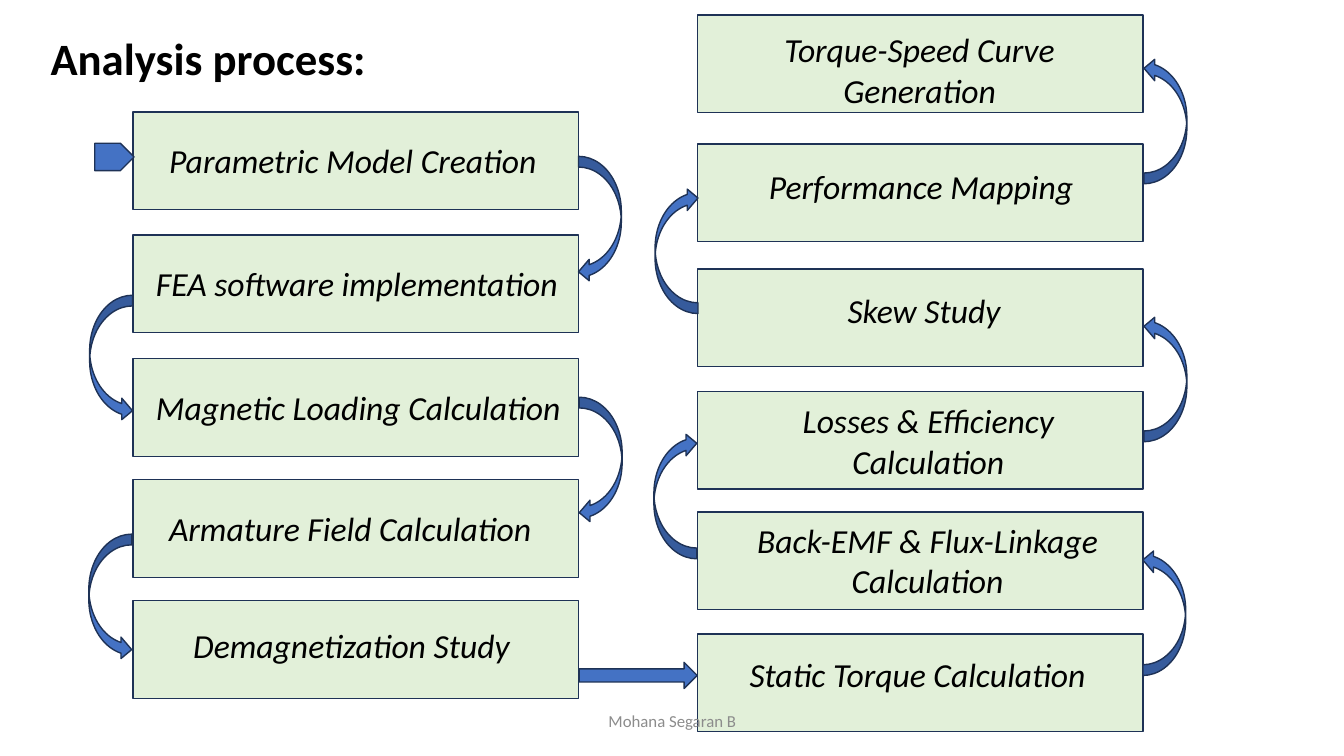
"""Build the slide that shows the analysis process as two chains of steps."""
from dataclasses import dataclass

import pptx
import pptx.dml.color
import pptx.enum.shapes
import pptx.enum.text
import pptx.util

Cm = pptx.util.Cm
Kind = pptx.enum.shapes.MSO_SHAPE
Align = pptx.enum.text.PP_ALIGN
Anchor = pptx.enum.text.MSO_ANCHOR

FONT = "Calibri"
BLACK, GREY = "000000", "8C8C8C"
GREEN, BLUE, NAVY = "E2F0D9", "4472C4", "1E3256"
BOX_W, BOX_H = 11.23, 2.46
LEFT, RIGHT = 3.35, 17.58


@dataclass
class Step:
    text: str
    x: float
    y: float
    text_x: float
    text_y: float
    text_w: float
    lines: int = 1


@dataclass
class Arrow:
    kind: Kind
    x: float
    y: float
    w: float = 1.08
    h: float = 3.18
    turn: int = 0
    flip: bool = False


STEPS = [
    Step("Parametric Model Creation", LEFT, 2.82, 4.01, 3.4, 9.91),
    Step("FEA software implementation", LEFT, 5.92, 3.68, 6.5, 10.9),
    Step("Magnetic Loading Calculation", LEFT, 9.04, 3.68, 9.63, 10.9),
    Step("Armature Field Calculation", LEFT, 12.09, 4.01, 12.67, 10.29),
    Step("Demagnetization Study", LEFT, 15.14, 4.62, 15.62, 8.69),
    Step("Static Torque Calculation", RIGHT, 15.98, 18.64, 16.36, 9.04),
    Step("Back-EMF & Flux-Linkage Calculation", RIGHT, 12.9, 18.64, 12.98, 9.47, 2),
    Step("Losses & Efficiency Calculation", RIGHT, 9.86, 18.44, 9.96, 9.91, 2),
    Step("Skew Study", RIGHT, 6.78, 21.11, 7.19, 4.47),
    Step("Performance Mapping", RIGHT, 3.63, 19.13, 4.06, 8.53),
    Step("Torque-Speed Curve Generation", RIGHT, 0.38, 19.43, 0.61, 7.49, 2),
]

CURVE = Kind.CURVED_RIGHT_ARROW
ARROWS = [
    Arrow(Kind.PENTAGON, 2.39, 3.61, 0.99, 0.69),
    Arrow(CURVE, 14.58, 3.94, flip=True),
    Arrow(CURVE, 2.26, 7.44),
    Arrow(CURVE, 14.6, 10.01, flip=True),
    Arrow(CURVE, 2.24, 13.46),
    Arrow(Kind.RIGHT_ARROW, 14.6, 16.69, 2.97, 0.66),
    Arrow(CURVE, 28.8, 13.84, turn=180),
    Arrow(CURVE, 16.48, 10.9, turn=180, flip=True),
    Arrow(CURVE, 28.83, 7.95, turn=180),
    Arrow(CURVE, 16.51, 4.72, turn=180, flip=True),
    Arrow(CURVE, 28.83, 1.45, turn=180),
]


def paint(target, tone: str) -> None:
    target.rgb = pptx.dml.color.RGBColor.from_string(tone)


def add_shape(slide, kind: Kind, x: float, y: float, w: float, h: float, tone: str):
    shape = slide.shapes.add_shape(kind, Cm(x), Cm(y), Cm(w), Cm(h))
    shape.shadow.inherit = False
    shape.fill.solid()
    paint(shape.fill.fore_color, tone)
    paint(shape.line.color, NAVY)
    shape.line.width = pptx.util.Pt(1)
    return shape


def write(shape, text: str, size: int, tone: str = BLACK, align: Align = Align.LEFT,
          anchor: Anchor = Anchor.TOP, bold: bool = False, slant: bool = False) -> None:
    frame = shape.text_frame
    frame.text = text
    frame.word_wrap = True
    frame.auto_size = pptx.enum.text.MSO_AUTO_SIZE.NONE
    frame.vertical_anchor = anchor
    line = frame.paragraphs[0]
    line.alignment = align
    font = line.runs[0].font
    font.name, font.size = FONT, pptx.util.Pt(size)
    font.bold, font.italic = bold, slant
    paint(font.color, tone)


def add_text(slide, x: float, y: float, w: float, h: float):
    return slide.shapes.add_textbox(Cm(x), Cm(y), Cm(w), Cm(h))


def add_step(slide, step: Step) -> None:
    add_shape(slide, Kind.RECTANGLE, step.x, step.y, BOX_W, BOX_H, GREEN)
    high = 1.27 if step.lines == 1 else 2.31
    label = add_text(slide, step.text_x, step.text_y, step.text_w, high)
    align = Align.LEFT if step.lines == 1 else Align.CENTER
    write(label, step.text, 24, align=align, slant=True)


def add_arrow(slide, arrow: Arrow) -> None:
    shape = add_shape(slide, arrow.kind, arrow.x, arrow.y, arrow.w, arrow.h, BLUE)
    shape.rotation = arrow.turn
    if arrow.flip:
        shape._element.spPr.xfrm.set("flipH", "1")


def main() -> None:
    deck = pptx.Presentation()
    deck.slide_width, deck.slide_height = Cm(33.87), Cm(19.05)
    slide = deck.slides.add_slide(deck.slide_layouts[5])
    title = slide.shapes.title
    title.left, title.top = Cm(1.02), Cm(0.64)
    title.width, title.height = Cm(17.12), Cm(1.63)
    write(title, "Analysis process:", 32, bold=True)
    for step in STEPS:
        add_step(slide, step)
    for arrow in ARROWS:
        add_arrow(slide, arrow)
    footer = add_text(slide, 11.23, 17.65, 11.43, 1.02)
    write(footer, "Mohana Segaran B", 12, GREY, Align.CENTER, Anchor.MIDDLE)
    deck.save("out.pptx")


if __name__ == "__main__":
    main()
